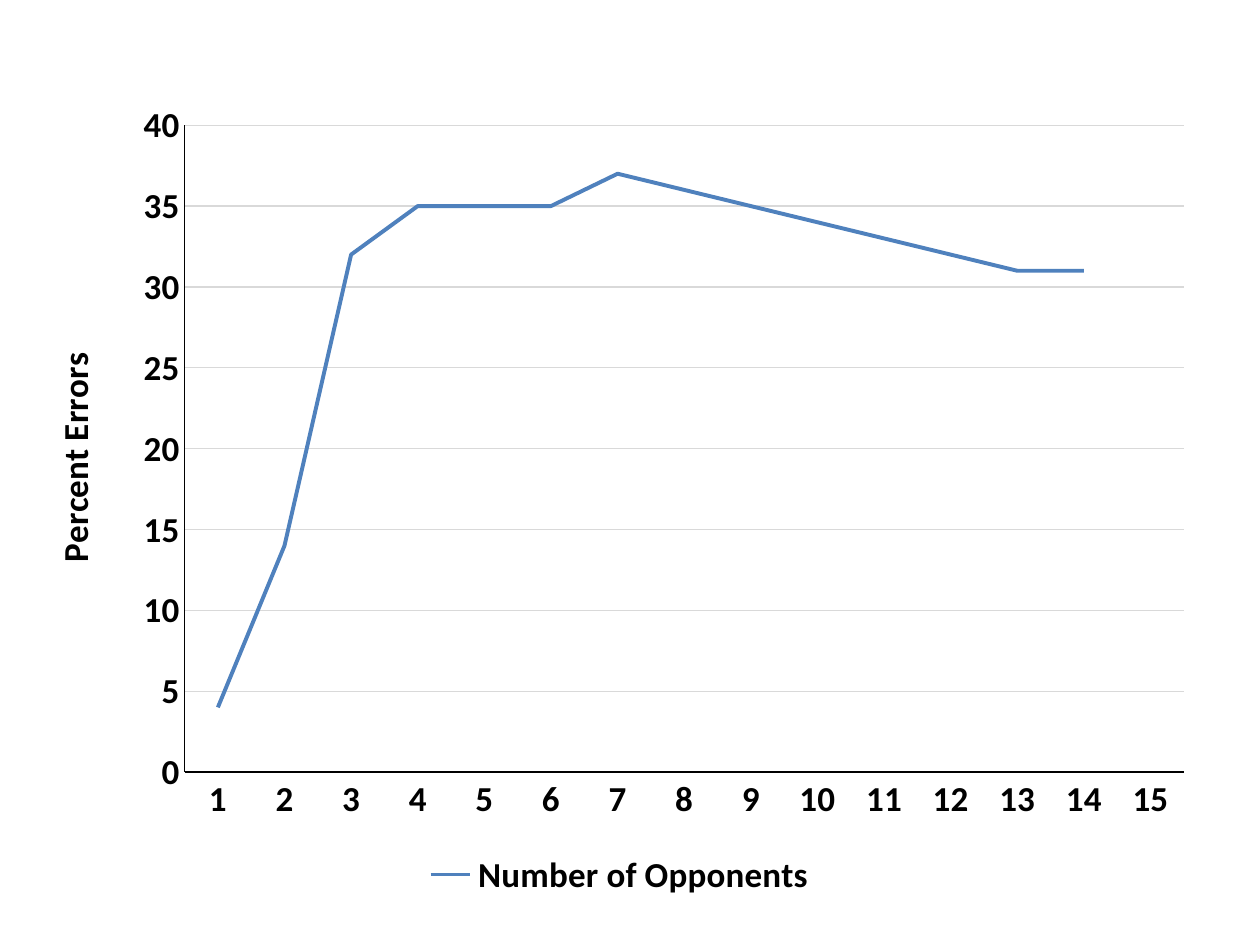
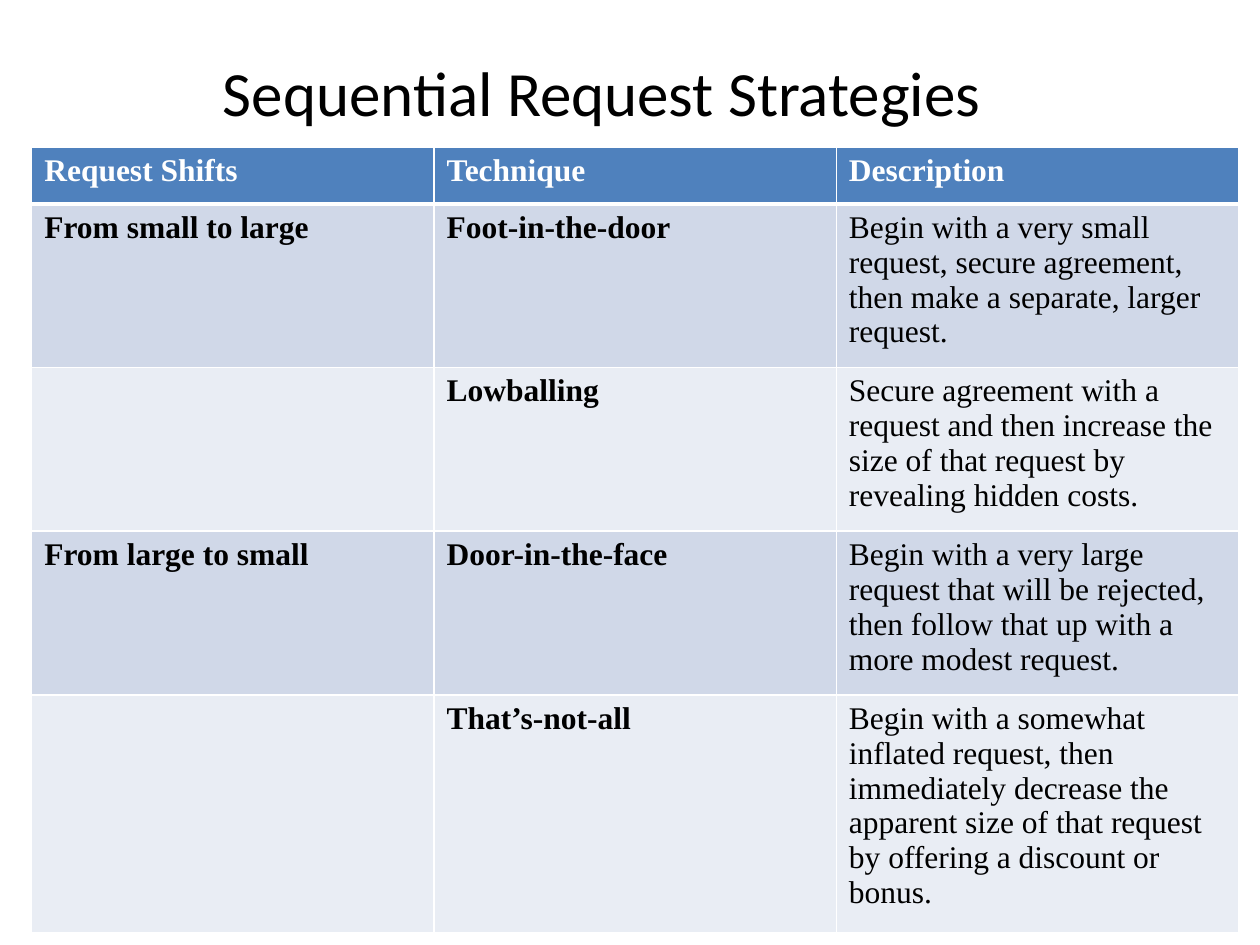
from dataclasses import dataclass

from lxml import etree
from pptx import Presentation
from pptx import util as u
from pptx.chart.data import CategoryChartData
from pptx.dml.color import RGBColor
from pptx.enum import chart as ch
from pptx.enum import text
from pptx.oxml import parse_xml
from pptx.oxml.ns import nsdecls, qn

BLACK = RGBColor(0x00, 0x00, 0x00)
WHITE = RGBColor(0xFF, 0xFF, 0xFF)
BLUE = RGBColor(0x4F, 0x81, 0xBD)
BAND_DARK = RGBColor(0xD0, 0xD8, 0xE8)
BAND_LIGHT = RGBColor(0xE9, 0xED, 0xF4)
GRID = RGBColor(0xD9, 0xD9, 0xD9)
SANS = "Calibri"
SERIF = "Times New Roman"

TITLE_ONLY, BLANK = 5, 6
ERRORS = (4, 14, 32, 35, 35, 35, 37, 36, 35, 34, 33, 32, 31, 31, None)
HEADINGS = ("Request Shifts", "Technique", "Description")


@dataclass
class Strategy:
    shift: str
    technique: str
    description: str
    height: float = 3.3


STRATEGIES = (
    Strategy("From small to large", "Foot-in-the-door",
             "Begin with a very small request, secure agreement, "
             "then make a separate, larger request."),
    Strategy("", "Lowballing",
             "Secure agreement with a request and then increase the size "
             "of that request by revealing hidden costs."),
    Strategy("From large to small", "Door-in-the-face",
             "Begin with a very large request that will be rejected, "
             "then follow that up with a more modest request."),
    Strategy("", "That’s-not-all",
             "Begin with a somewhat inflated request, then immediately decrease "
             "the apparent size of that request by offering a discount or bonus.", 4.8),
)


def style_font(font, size: float, *, name: str = SANS, bold: bool = False,
               color: RGBColor = BLACK) -> None:
    font.size = u.Pt(size)
    font.name = name
    font.bold = bold
    font.color.rgb = color


def write(tf, content: str, size: float, *, align=text.PP_ALIGN.LEFT,
          spacing: float | None = None, **font_format) -> None:
    p = tf.paragraphs[0]
    p.alignment = align
    if spacing:
        p.line_spacing = u.Pt(spacing)
    r = p.add_run()
    r.text = content
    style_font(r.font, size, **font_format)


def style_line(line, color: RGBColor, width: float) -> None:
    line.color.rgb = color
    line.width = u.Pt(width)


def place(element, **fractions: float) -> None:
    """Fix a chart part at fractions of the chart area."""
    layout = element.find(qn("c:layout"))
    if layout is None:
        layout = etree.Element(qn("c:layout"))
        text_part = element.find(qn("c:tx"))
        if text_part is None:
            element.insert(0, layout)
        else:
            text_part.addnext(layout)
    for child in list(layout):
        layout.remove(child)
    manual = etree.SubElement(layout, qn("c:manualLayout"))
    if "w" in fractions:
        etree.SubElement(manual, qn("c:layoutTarget"), val="inner")
    for side in ("x", "y"):
        etree.SubElement(manual, qn(f"c:{side}Mode"), val="edge")
    for key, value in fractions.items():
        etree.SubElement(manual, qn(f"c:{key}"), val=str(value))


def add_errors_chart(slide) -> None:
    data = CategoryChartData()
    data.categories = [str(n + 1) for n in range(len(ERRORS))]
    data.add_series("Number of Opponents", ERRORS)
    chart = slide.shapes.add_chart(ch.XL_CHART_TYPE.LINE, u.Cm(0.64), u.Cm(1.7),
                                   u.Cm(23.7), u.Cm(16.51), data).chart
    style_font(chart.font, 20, bold=True)
    chart.has_title = False
    chart.has_legend = True
    chart.legend.position = ch.XL_LEGEND_POSITION.BOTTOM
    chart.legend.include_in_layout = False
    style_font(chart.legend.font, 20, bold=True)

    series = chart.plots[0].series[0]
    chart.plots[0].vary_by_categories = False
    series.smooth = False
    series.marker.style = ch.XL_MARKER_STYLE.NONE
    style_line(series.format.line, BLUE, 2.25)

    axis = chart.value_axis
    for ax in (chart.category_axis, axis):
        ax.major_tick_mark = ax.minor_tick_mark = ch.XL_TICK_MARK.NONE
        style_font(ax.tick_labels.font, 20, bold=True)
        style_line(ax.format.line, BLACK, 0.75)
    axis.minimum_scale, axis.maximum_scale, axis.major_unit = 0, 40, 5
    style_line(axis.major_gridlines.format.line, GRID, 0.75)
    write(axis.axis_title.text_frame, "Percent Errors", 20,
          align=text.PP_ALIGN.CENTER, bold=True)
    place(axis.axis_title._element, x=0.01, y=0.32)
    place(chart._chartSpace.chart.plotArea, x=0.13, y=0.05, w=0.85, h=0.79)


def add_borders(cell, bottom: float = 1, top: float = 1) -> None:
    tc_pr = cell._tc.get_or_add_tcPr()
    for side, width in (("L", 1), ("R", 1), ("T", top), ("B", bottom)):
        tc_pr.append(parse_xml(
            f'<a:ln{side} {nsdecls("a")} w="{u.Pt(width)}"><a:solidFill>'
            f'<a:srgbClr val="{WHITE}"/></a:solidFill></a:ln{side}>'))


def fill_cell(cell, content: str, fill: RGBColor, *, bottom: float = 1,
              top: float = 1, **font_format) -> None:
    add_borders(cell, bottom, top)
    cell.fill.solid()
    cell.fill.fore_color.rgb = fill
    if content:
        write(cell.text_frame, content, 18, name=SERIF, **font_format)


def add_title(slide, content: str) -> None:
    sp = slide.shapes.title
    sp.left, sp.top, sp.width, sp.height = (u.Cm(v) for v in (4.24, 0, 19.89, 2.74))
    tf = sp.text_frame
    tf.vertical_anchor = text.MSO_ANCHOR.BOTTOM
    tf.word_wrap = True
    write(tf, content, 36, spacing=34)


def add_strategy_table(slide) -> None:
    heights = [1.14] + [s.height for s in STRATEGIES]
    table = slide.shapes.add_table(len(heights), len(HEADINGS), u.Cm(0.64), u.Cm(2.97),
                                   u.Cm(24.33), u.Cm(sum(heights))).table
    for column in table.columns:
        column.width = u.Cm(8.11)
    for row, height in zip(table.rows, heights):
        row.height = u.Cm(height)
    for col, heading in enumerate(HEADINGS):
        fill_cell(table.cell(0, col), heading, BLUE, bottom=3, bold=True, color=WHITE)
    for row, s in enumerate(STRATEGIES, start=1):
        band = BAND_DARK if row % 2 else BAND_LIGHT
        for col, content in enumerate((s.shift, s.technique, s.description)):
            fill_cell(table.cell(row, col), content, band,
                      top=3 if row == 1 else 1, bold=col < 2)


def main() -> None:
    prs = Presentation()
    prs.slide_width, prs.slide_height = u.Cm(25.4), u.Cm(19.05)
    add_errors_chart(prs.slides.add_slide(prs.slide_layouts[BLANK]))
    strategies = prs.slides.add_slide(prs.slide_layouts[TITLE_ONLY])
    add_title(strategies, "Sequential Request Strategies")
    add_strategy_table(strategies)
    prs.save("out.pptx")


if __name__ == "__main__":
    main()
